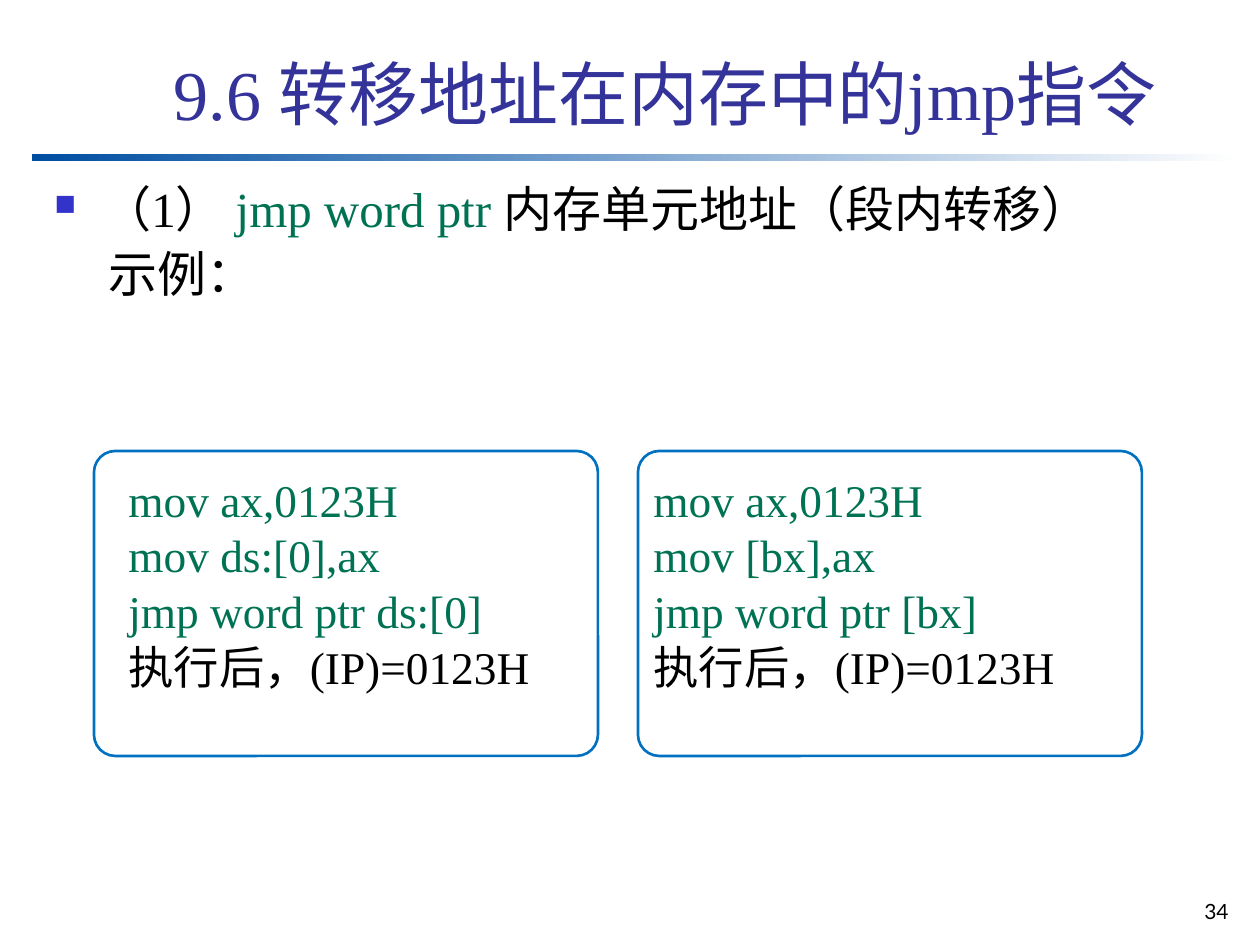
import pptx
import pptx.util
import pptx.dml.color
import pptx.enum.dml
import pptx.enum.shapes
import pptx.enum.text
import pptx.oxml

# Content
TITLE = "9.6 转移地址在内存中的jmp指令"
PAGE_NUMBER = "34"
GREEN, BLACK = "007254", "000000"
HEADING = [("（1） ", BLACK), ("jmp word ptr ", GREEN), ("内存单元地址（段内转移）", BLACK)]
EXAMPLE_LABEL = [("示例：", BLACK)]
RESULT = "执行后，(IP)=0123H"
# Each example: code left, frame left, code lines
EXAMPLES = [
    (116, 94, ["mov ax,0123H", "mov ds:[0],ax", "jmp word ptr ds:[0]"]),
    (641, 638, ["mov ax,0123H", "mov [bx],ax", "jmp word ptr [bx]"]),
]
SERIF = "Times New Roman"
PX_PER_INCH = 126


def px(length):
    return pptx.util.Emu(round(length * 914400 / PX_PER_INCH))


def color(hex_value):
    return pptx.dml.color.RGBColor.from_string(hex_value)


def set_font(font, size, hex_value, name=SERIF):
    font.name = name
    font.size = pptx.util.Pt(size)
    font.color.rgb = color(hex_value)


def add_text(left, top, width, height):
    frame = slide.shapes.add_textbox(px(left), px(top), px(width), px(height)).text_frame
    frame.word_wrap = True
    return frame


def write_lines(frame, lines, size, line_spacing):
    """Write lines given as lists of (text, colour) runs."""
    for index, runs in enumerate(lines):
        paragraph = frame.paragraphs[0] if index == 0 else frame.add_paragraph()
        paragraph.line_spacing = line_spacing
        paragraph.space_before = pptx.util.Pt(7)
        for text, hex_value in runs:
            run = paragraph.add_run()
            run.text = text
            set_font(run.font, size, hex_value)


def set_indent(paragraph, margin, indent):
    properties = paragraph._p.get_or_add_pPr()
    properties.set("marL", str(px(margin)))
    properties.set("indent", str(px(indent)))
    return properties


def add_bullet(paragraph, hex_value, percent, character):
    properties = set_indent(paragraph, 48, -48)
    namespace = 'xmlns:a="http://schemas.openxmlformats.org/drawingml/2006/main"'
    for markup in (
        f'<a:buClr {namespace}><a:srgbClr val="{hex_value}"/></a:buClr>',
        f'<a:buSzPct {namespace} val="{percent * 1000}"/>',
        f'<a:buChar {namespace} char="{character}"/>',
    ):
        properties.append(pptx.oxml.parse_xml(markup))


presentation = pptx.Presentation()
presentation.slide_width, presentation.slide_height = px(1260), px(945)
slide = presentation.slides.add_slide(presentation.slide_layouts[5])

# Gradient rule under the title
rule = slide.shapes.add_shape(pptx.enum.shapes.MSO_SHAPE.RECTANGLE, px(32), px(154), px(1210), px(7))
rule.shadow.inherit = False
rule.line.fill.background()
rule.fill.gradient()
rule.fill.gradient_angle = 0
for stop, hex_value, position in zip(rule.fill.gradient_stops, ("004EA2", "FFFFFF"), (0, 1)):
    stop.color.rgb = color(hex_value)
    stop.position = position

# Title
title = slide.shapes.title
title.left, title.top, title.width, title.height = px(161), px(23), px(1074), px(118)
title.text_frame.text = TITLE
title.text_frame.vertical_anchor = pptx.enum.text.MSO_ANCHOR.BOTTOM
title.text_frame.paragraphs[0].alignment = pptx.enum.text.PP_ALIGN.LEFT
set_font(title.text_frame.paragraphs[0].font, 40, "333399")

# Heading and example label
body = add_text(42, 179, 1192, 714)
write_lines(body, [HEADING, EXAMPLE_LABEL], 28, 0.9)
add_bullet(body.paragraphs[0], "3333CC", 60, "■")
set_indent(body.paragraphs[1], 54, 0)

# Code examples in rounded frames
for code_left, frame_left, code in EXAMPLES:
    code_frame = add_text(code_left, 476, 525, 234)
    write_lines(code_frame, [[(line, GREEN)] for line in code] + [[(RESULT, BLACK)]], 25.9, 0.8)
    border = slide.shapes.add_shape(
        pptx.enum.shapes.MSO_SHAPE.ROUNDED_RECTANGLE, px(frame_left), px(451), px(504), px(305))
    border.adjustments[0] = 0.07
    border.shadow.inherit = False
    border.fill.background()
    border.line.color.rgb = color("0070C0")
    border.line.width = pptx.util.Pt(1.5)

# Page number
page = add_text(1157, 892, 84, 42).paragraphs[0]
page.text = PAGE_NUMBER
page.alignment = pptx.enum.text.PP_ALIGN.RIGHT
set_font(page.font, 12, BLACK, "Lato")

presentation.save("out.pptx")
